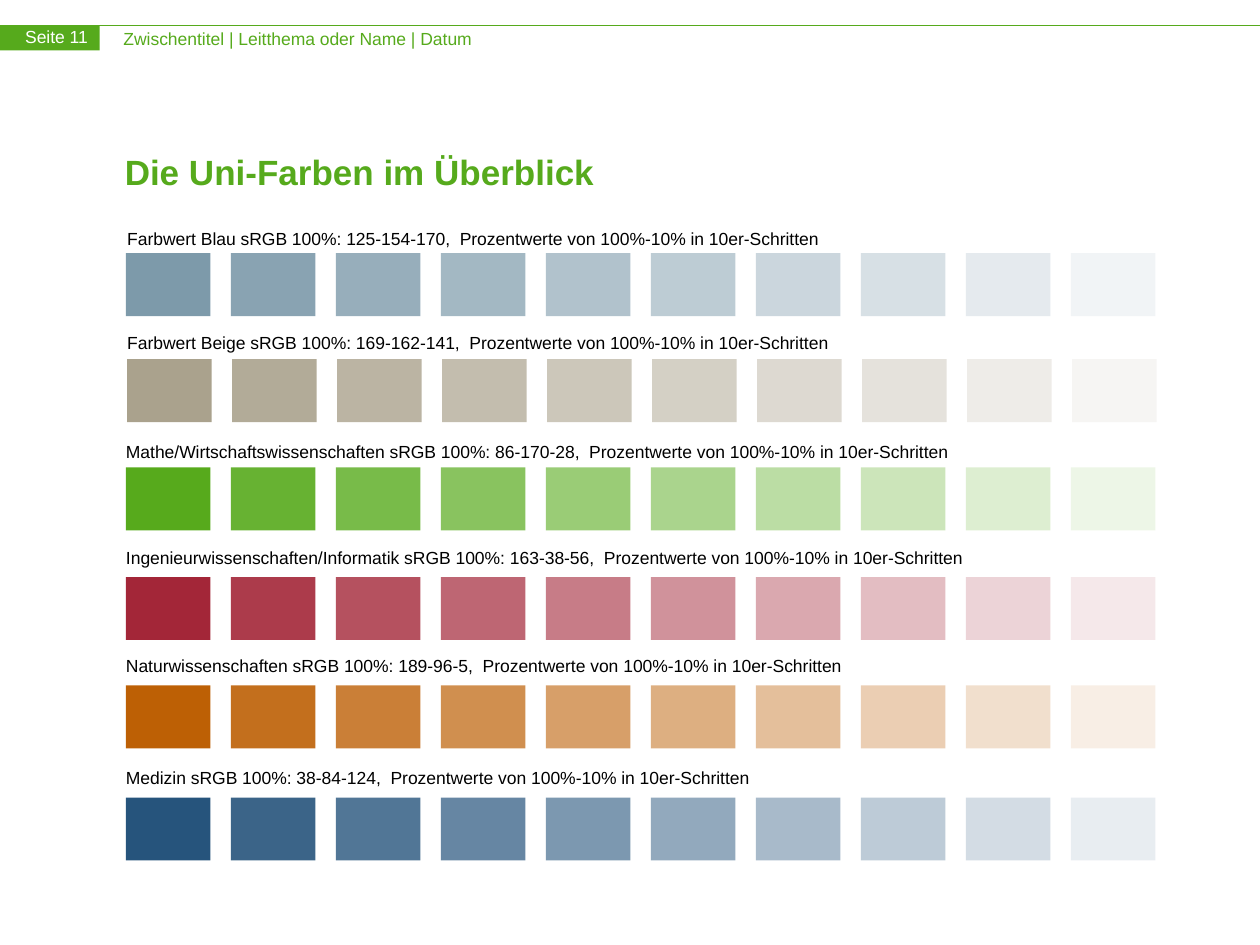
from lxml.etree import SubElement
from pptx import Presentation
from pptx.dml.color import RGBColor
from pptx.enum.shapes import MSO_CONNECTOR, MSO_SHAPE
from pptx.enum.text import MSO_ANCHOR, PP_ALIGN
from pptx.oxml.ns import qn
from pptx.util import Inches, Pt

FONT = "Arial"
UNI_GREEN = RGBColor(0x56, 0xAA, 0x1C)
BLACK = RGBColor(0, 0, 0)
WHITE = RGBColor(255, 255, 255)

BLUE = RGBColor(125, 154, 170)
BEIGE = RGBColor(170, 162, 141)
MATHS_GREEN = RGBColor(87, 170, 28)
ENGINEERING_RED = RGBColor(163, 38, 56)
SCIENCE_ORANGE = RGBColor(189, 96, 5)
MEDICINE_BLUE = RGBColor(38, 84, 124)

# Swatch grid, in inches: ten steps on a 5/6 inch pitch
STEPS = 10
PITCH = 5 / 6
SWATCH_WIDTH = 0.67
SWATCH_HEIGHT = 0.5

# Name, sRGB value, colour, label left, label top, label width, swatch left, swatch top
PALETTES = [
    ("Farbwert Blau", "125-154-170", BLUE, 1.01, 1.78, 6.32, 1, 2.01),
    ("Farbwert Beige", "169-162-141", BEIGE, 1.01, 2.61, 6.32, 1.01, 2.85),
    ("Mathe/Wirtschaftswissenschaften", "86-170-28", MATHS_GREEN, 1, 3.47, 7, 1, 3.71),
    ("Ingenieurwissenschaften/Informatik", "163-38-56", ENGINEERING_RED,
     1, 4.31, 8.67, 1, 4.58),
    ("Naturwissenschaften", "189-96-5", SCIENCE_ORANGE, 1, 5.17, 8.67, 1, 5.44),
    ("Medizin", "38-84-124", MEDICINE_BLUE, 1, 6.06, 8.67, 1, 6.33),
]


def add_run(paragraph, text, size, color, bold=False):
    run = paragraph.add_run()
    run.text = text
    run.font.name = FONT
    run.font.size = Pt(size)
    run.font.bold = bold
    run.font.color.rgb = color


def add_text(slide, text, left, top, width, height, color, line_spacing=None):
    shape = slide.shapes.add_textbox(Inches(left), Inches(top), Inches(width), Inches(height))
    frame = shape.text_frame
    frame.word_wrap = True
    frame.margin_left = frame.margin_right = 0
    frame.margin_top = frame.margin_bottom = 0
    paragraph = frame.paragraphs[0]
    paragraph.line_spacing = line_spacing
    add_run(paragraph, text, 10, color)


def add_rectangle(slide, left, top, width, height, color, opacity=100):
    shape = slide.shapes.add_shape(
        MSO_SHAPE.RECTANGLE, Inches(left), Inches(top), Inches(width), Inches(height))
    shape.shadow.inherit = False
    shape.line.fill.background()
    shape.fill.solid()
    shape.fill.fore_color.rgb = color
    if opacity < 100:
        color_element = shape.fill._xPr.find(qn("a:solidFill"))[0]
        SubElement(color_element, qn("a:alpha"), val=str(opacity * 1000))


def add_header(slide):
    rule = slide.shapes.add_connector(
        MSO_CONNECTOR.STRAIGHT, 0, Inches(0.2), Inches(10), Inches(0.2))
    rule.line.color.rgb = UNI_GREEN
    rule.line.width = Pt(0.75)
    SubElement(rule._element.spPr, qn("a:effectLst"))
    add_rectangle(slide, 0, 0.2, 0.79, 0.2, UNI_GREEN)
    add_text(slide, "Zwischentitel | Leitthema oder Name | Datum",
             0.98, 0.22, 6.6, 0.17, UNI_GREEN)
    add_text(slide, "Seite 11", 0.2, 0.21, 0.62, 0.33, WHITE)


def add_title(slide, text):
    title = slide.shapes.title
    title.left, title.top = Inches(0.89), Inches(1)
    title.width, title.height = Inches(8.53), Inches(0.72)
    title.text_frame.vertical_anchor = MSO_ANCHOR.MIDDLE
    paragraph = title.text_frame.paragraphs[0]
    paragraph.alignment = PP_ALIGN.LEFT
    paragraph.line_spacing = Pt(24)
    add_run(paragraph, text, 20, UNI_GREEN, bold=True)


def add_palette(slide, name, value, color, label_left, label_top, label_width, left, top):
    label = f"{name} sRGB 100%: {value},  Prozentwerte von 100%-10% in 10er-Schritten"
    add_text(slide, label, label_left, label_top, label_width, 0.19, BLACK, Pt(14))
    for step in range(STEPS):
        add_rectangle(slide, left + step * PITCH, top, SWATCH_WIDTH, SWATCH_HEIGHT,
                      color, opacity=100 - 10 * step)


def main():
    presentation = Presentation()
    presentation.slide_width = Inches(10)
    presentation.slide_height = Inches(7.5)
    slide = presentation.slides.add_slide(presentation.slide_layouts[5])
    add_header(slide)
    add_title(slide, "Die Uni-Farben im Überblick")
    for palette in PALETTES:
        add_palette(slide, *palette)
    presentation.save("out.pptx")


if __name__ == "__main__":
    main()
